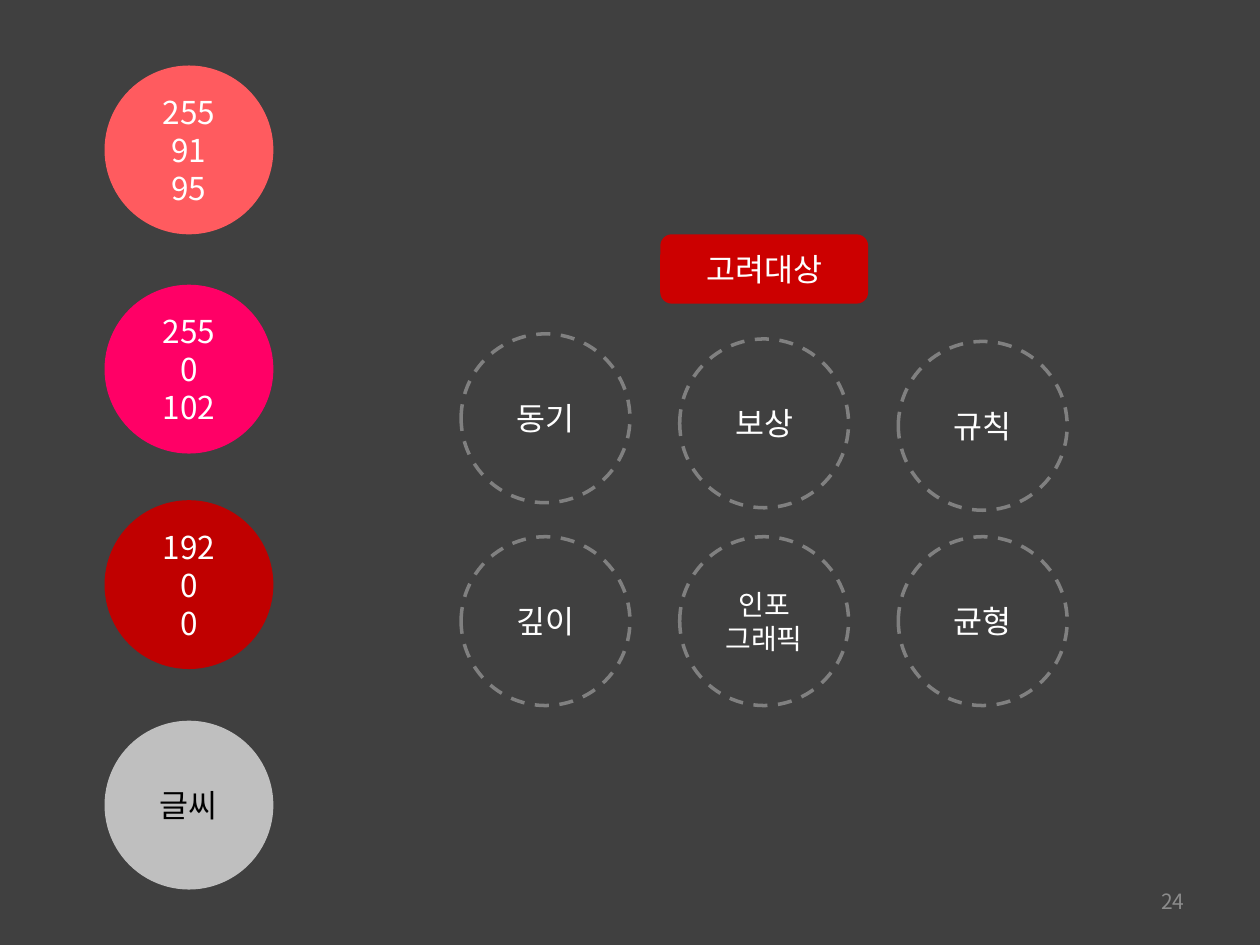
from lxml.etree import SubElement
from pptx import Presentation
from pptx.dml.color import RGBColor
from pptx.enum.dml import MSO_LINE
from pptx.enum.shapes import MSO_SHAPE as Shape
from pptx.enum.text import MSO_ANCHOR as Anchor, PP_ALIGN as Align
from pptx.oxml.ns import qn
from pptx.util import Inches, Pt

FONT = "Noto Sans CJK KR"
BACKGROUND = RGBColor(0x40, 0x40, 0x40)
WHITE = RGBColor(0xFF, 0xFF, 0xFF)
BLACK = RGBColor(0x00, 0x00, 0x00)
CORAL = RGBColor(0xFF, 0x5B, 0x5F)
PINK = RGBColor(0xFF, 0x00, 0x66)
DARK_RED = RGBColor(0xC0, 0x00, 0x00)
LIGHT_GRAY = RGBColor(0xBF, 0xBF, 0xBF)
HEADING_RED = RGBColor(0xCC, 0x00, 0x00)
OUTLINE_GRAY = RGBColor(0x80, 0x80, 0x80)
NUMBER_GRAY = RGBColor(0x8C, 0x8C, 0x8C)

DIAMETER = 1.34

# top, lines, fill, text colour
SWATCH_LEFT = 0.83
SWATCHES = [
    (0.52, ["255", "91", "95"], CORAL, WHITE),
    (2.26, ["255", "0", "102"], PINK, WHITE),
    (3.97, ["192", "0", "0"], DARK_RED, WHITE),
    (5.72, ["글씨"], LIGHT_GRAY, BLACK),
]

HEADING = "고려대상"
# top, lines, text size
TOPIC_LEFT, TOPIC_STEP = 3.66, 1.735
TOPIC_ROWS = [
    [(2.65, ["동기"], 18), (2.69, ["보상"], 18), (2.71, ["규칙"], 18)],
    [(4.26, ["깊이"], 18), (4.26, ["인포", "그래픽"], 16), (4.26, ["균형"], 18)],
]
PAGE_NUMBER = "24"


def write(shape, lines, size=18, color=WHITE, align=Align.CENTER):
    frame = shape.text_frame
    frame.word_wrap = True
    frame.vertical_anchor = Anchor.MIDDLE
    for index, line in enumerate(lines):
        paragraph = frame.add_paragraph() if index else frame.paragraphs[0]
        paragraph.alignment = align
        run = paragraph.add_run()
        run.text = line
        run.font.size = Pt(size)
        run.font.color.rgb = color
        run.font.name = FONT
        SubElement(run.font._element, qn("a:ea"), typeface=FONT)


def add_figure(slide, kind, box, fill=None):
    """Add a filled shape without outline, or a dashed outline without fill."""
    shape = slide.shapes.add_shape(kind, *map(Inches, box))
    shape.shadow.inherit = False
    if fill is None:
        shape.fill.background()
        shape.line.color.rgb = OUTLINE_GRAY
        shape.line.width = Pt(2)
        shape.line.dash_style = MSO_LINE.DASH
    else:
        shape.fill.solid()
        shape.fill.fore_color.rgb = fill
        shape.line.fill.background()
    return shape


def main():
    presentation = Presentation()
    presentation.slide_width, presentation.slide_height = Inches(10), Inches(7.5)
    slide = presentation.slides.add_slide(presentation.slide_layouts[6])
    slide.background.fill.solid()
    slide.background.fill.fore_color.rgb = BACKGROUND

    for top, lines, fill, color in SWATCHES:
        box = (SWATCH_LEFT, top, DIAMETER, DIAMETER)
        write(add_figure(slide, Shape.OVAL, box, fill), lines, color=color)

    heading = add_figure(slide, Shape.ROUNDED_RECTANGLE, (5.24, 1.86, 1.65, 0.55), HEADING_RED)
    write(heading, [HEADING])

    for row in TOPIC_ROWS:
        for column, (top, lines, size) in enumerate(row):
            box = (TOPIC_LEFT + column * TOPIC_STEP, top, DIAMETER, DIAMETER)
            write(add_figure(slide, Shape.OVAL, box), lines, size)

    number = slide.shapes.add_textbox(*map(Inches, (7.17, 6.95, 2.33, 0.4)))
    write(number, [PAGE_NUMBER], 12, NUMBER_GRAY, Align.RIGHT)

    presentation.save("out.pptx")


if __name__ == "__main__":
    main()
